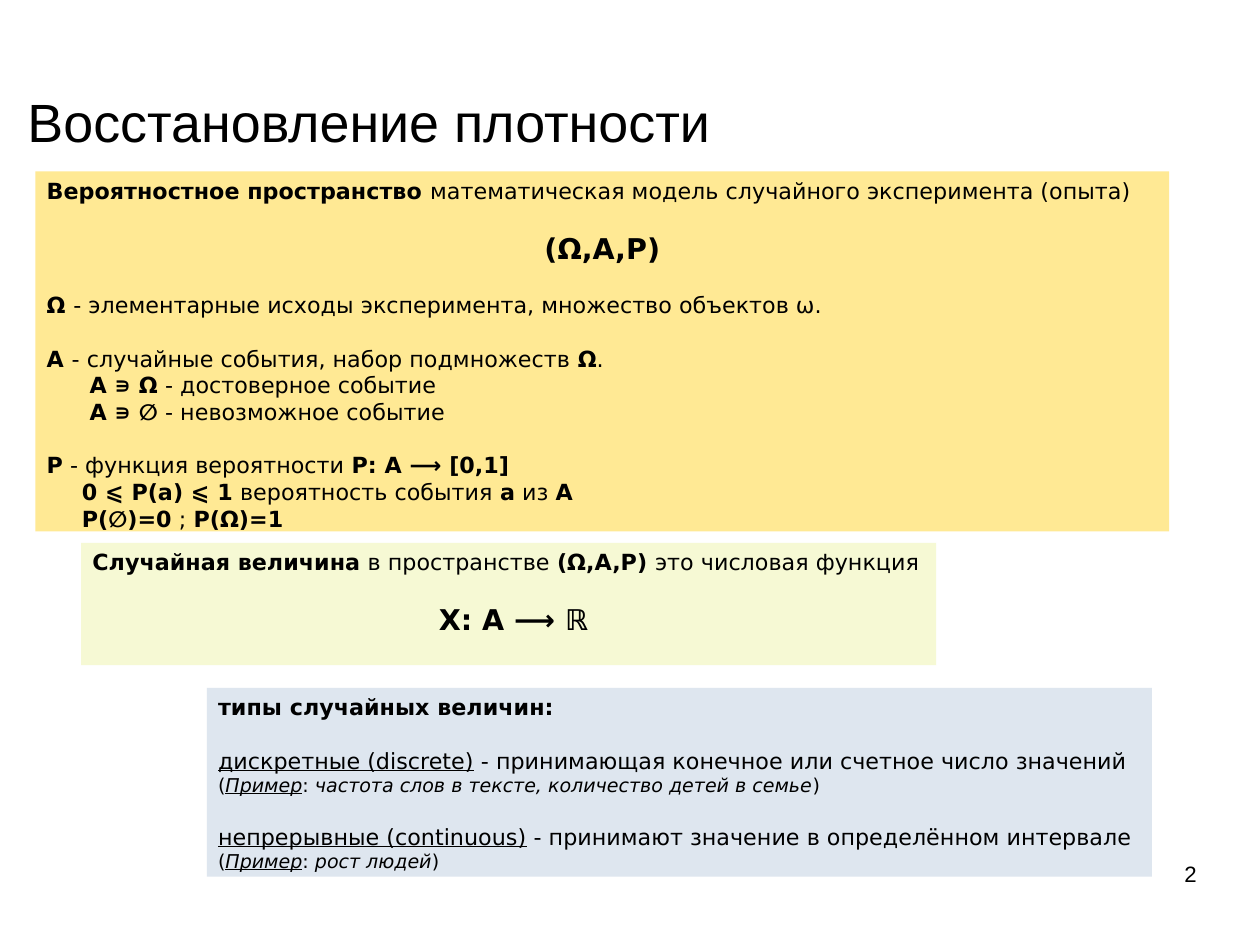
from lxml.etree import SubElement
from pptx import Presentation
from pptx.dml.color import RGBColor
from pptx.enum.shapes import MSO_SHAPE as Shape
from pptx.enum.text import MSO_ANCHOR as Anchor, PP_ALIGN as Align
from pptx.oxml.ns import qn
from pptx.util import Pt

BODY_FONT = "DejaVu Sans"
TITLE_FONT = "Arial"
BODY_SIZE = 14
FORMULA_SIZE = 18
EXAMPLE_SIZE = 12
GAP = 16.8
EVENT_INDENT = 27
MEASURE_INDENT = 22.2


def color(hex_code):
    """Turn a hex string into a colour."""
    return RGBColor.from_string(hex_code)


def add_text(paragraph, text, font=BODY_FONT, size=BODY_SIZE, bold=False,
             italic=False, underline=False):
    """Append a formatted run to a paragraph."""
    run = paragraph.add_run()
    run.text = text
    run.font.size = Pt(size)
    run.font.bold = bold
    run.font.italic = italic
    run.font.underline = underline
    run.font.color.rgb = color("000000")
    run.font.name = font
    properties = run.font._element
    for script in ("a:ea", "a:cs"):
        SubElement(properties, qn(script)).set("typeface", font)


def add_line(frame, *pieces, before=0, indent=0, align=Align.LEFT, size=BODY_SIZE):
    """Add a paragraph of (text, style letters) pieces to a frame."""
    first = frame.paragraphs[0]
    paragraph = frame.add_paragraph() if first.runs else first
    paragraph.alignment = align
    paragraph.space_before = Pt(before)
    if indent:
        paragraph._p.get_or_add_pPr().set("marL", str(Pt(indent)))
    for text, style in pieces:
        add_text(paragraph, text, size=size, bold="b" in style,
                 italic="i" in style, underline="u" in style)


def set_margins(frame, side, edge):
    """Set the horizontal and vertical insets of a frame."""
    frame.margin_left = frame.margin_right = Pt(side)
    frame.margin_top = frame.margin_bottom = Pt(edge)
    frame.word_wrap = True


def add_panel(slide, left, top, width, height, fill):
    """Draw a filled panel and return its text frame."""
    panel = slide.shapes.add_shape(
        Shape.RECTANGLE, Pt(left), Pt(top), Pt(width), Pt(height))
    panel.shadow.inherit = False
    panel.fill.solid()
    panel.fill.fore_color.rgb = color(fill)
    panel.line.fill.background()
    set_margins(panel.text_frame, 7.2, 3.6)
    panel.text_frame.vertical_anchor = Anchor.TOP
    return panel.text_frame


def add_label(slide, text, left, top, width, height, size,
              align=Align.LEFT, anchor=Anchor.TOP):
    """Add a single-line label without insets."""
    label = slide.shapes.add_textbox(Pt(left), Pt(top), Pt(width), Pt(height))
    frame = label.text_frame
    set_margins(frame, 0, 0)
    frame.vertical_anchor = anchor
    frame.paragraphs[0].alignment = align
    add_text(frame.paragraphs[0], text, font=TITLE_FONT, size=size)


def add_probability_space(slide):
    """Add the definition of a probability space."""
    space = add_panel(slide, 22.3, 108, 714.2, 226.8, "FFE994")
    add_line(space, ("Вероятностное пространство ", "b"),
             ("математическая модель случайного эксперимента (опыта)", ""))
    add_line(space, ("(Ω,A,P)", "b"), before=GAP, align=Align.CENTER, size=FORMULA_SIZE)
    add_line(space, ("Ω ", "b"),
             ("- элементарные исходы эксперимента, множество объектов ω.", ""), before=GAP)
    add_line(space, ("A ", "b"), ("- случайные события, набор подмножеств ", ""),
             ("Ω", "b"), (".", ""), before=GAP)
    for event, meaning in (("A ∍ Ω", "достоверное"), ("A ∍ ∅", "невозможное")):
        add_line(space, (event, "b"), (f" - {meaning} событие", ""), indent=EVENT_INDENT)
    add_line(space, ("P", "b"), (" - функция вероятности ", ""),
             ("P: A ⟶ [0,1]", "b"), before=GAP)
    add_line(space, ("0 ⩽ P(a) ⩽ 1", "b"), (" вероятность события ", ""),
             ("a", "b"), (" из ", ""), ("A", "b"), indent=MEASURE_INDENT)
    add_line(space, ("P(∅)=0", "b"), (" ; ", ""), ("P(Ω)=1", "b"), indent=MEASURE_INDENT)


def add_random_variable(slide):
    """Add the definition of a random variable."""
    variable = add_panel(slide, 51.1, 342, 538.6, 77, "F6F9D4")
    add_line(variable, ("Случайная величина", "b"), (" в пространстве ", ""),
             ("(Ω,A,P) ", "b"), ("это числовая функция", ""))
    add_line(variable, ("X: A ⟶ ℝ", "b"), before=GAP, indent=6,
             align=Align.CENTER, size=FORMULA_SIZE)


def add_variable_types(slide):
    """Add the types of random variables with examples."""
    types = add_panel(slide, 130.3, 433.4, 595.4, 118.8, "DEE6EF")
    add_line(types, ("типы случайных величин:", "b"))
    for name, meaning, example in (
        ("дискретные (discrete)", "принимающая конечное или счетное число значений",
         "частота слов в тексте, количество детей в семье"),
        ("непрерывные (continuous)", "принимают значение в определённом интервале",
         "рост людей"),
    ):
        add_line(types, (name, "u"), (f" - {meaning}", ""), before=GAP)
        add_line(types, ("(", ""), ("Пример", "iu"), (": ", ""), (example, "i"),
                 (")", ""), size=EXAMPLE_SIZE)


def main():
    """Build and save the slide."""
    deck = Presentation()
    deck.slide_width, deck.slide_height = Pt(793.7), Pt(595.3)
    slide = deck.slides.add_slide(deck.slide_layouts[6])
    add_probability_space(slide)
    add_label(slide, "Восстановление плотности", 17.3, 56.9, 697, 38.9, 33.9,
              anchor=Anchor.MIDDLE)
    add_random_variable(slide)
    add_variable_types(slide)
    add_label(slide, "2", 568.8, 542.2, 185, 41, 14, align=Align.RIGHT)
    deck.save("out.pptx")


if __name__ == "__main__":
    main()
